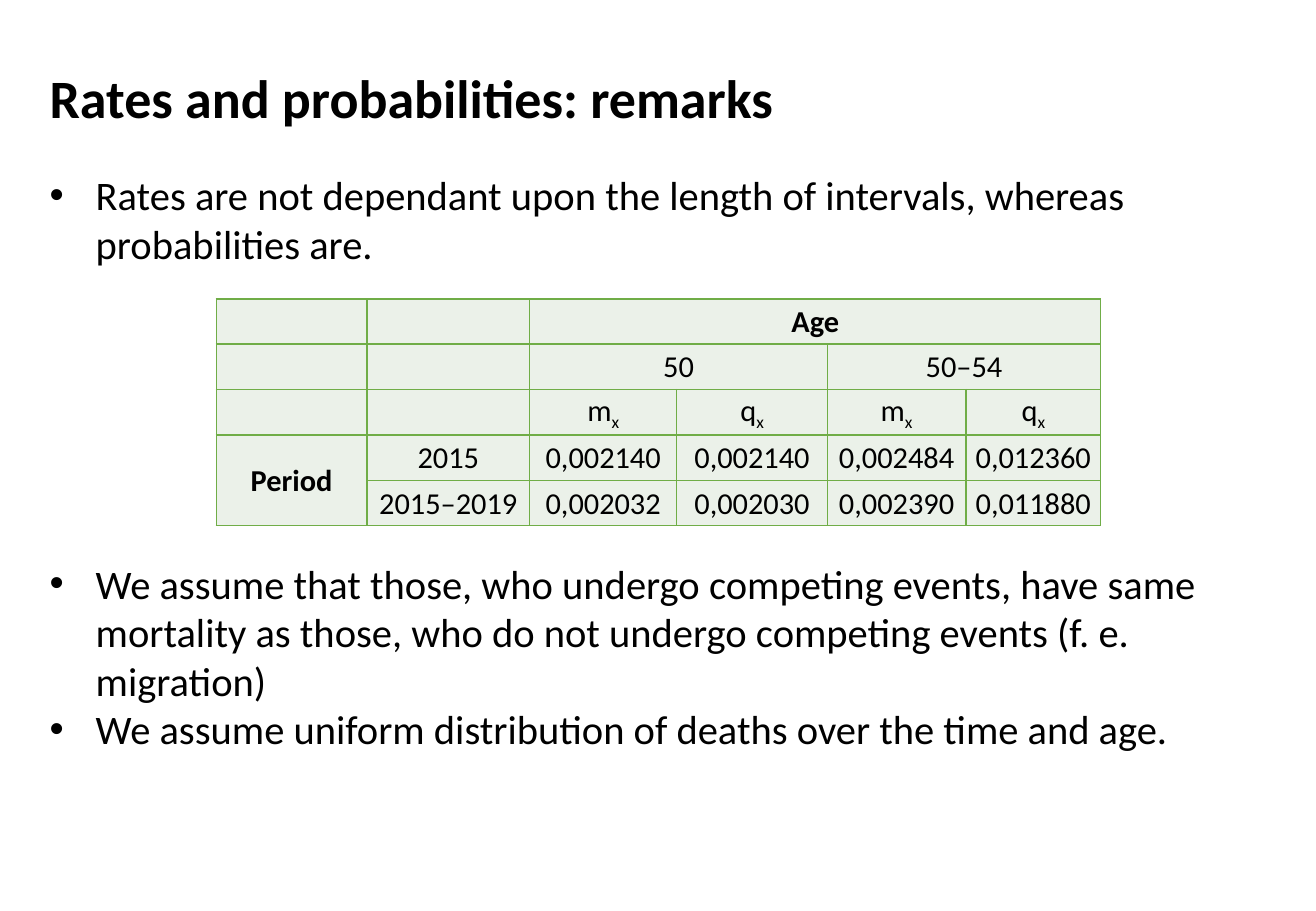
"""Build the slide on rates and probabilities."""
import pptx
import pptx.util
import pptx.dml.color
import pptx.enum.text
import pptx.oxml
import pptx.oxml.ns

Inches, Pt = pptx.util.Inches, pptx.util.Pt
RGB = pptx.dml.color.RGBColor.from_string
TEXT = pptx.enum.text

FONT = "Calibri"
COLORS = {"text": "000000", "edge": "385723", "border": "70AD47", "cell": "EBF1E9"}
TITLE = "Rates and probabilities: remarks"
POINTS = [
    ("Rates are not dependant upon the length of intervals, whereas probabilities are.", 0),
    ("We assume that those, who undergo competing events, have same mortality "
     "as those, who do not undergo competing events (f. e. migration)", 172.8),
    ("We assume uniform distribution of deaths over the time and age.", 0),
]
ROWS = [
    ["", "", "Age", "", "", ""],
    ["", "", "50", "", "50–54", ""],
    ["", "", "m_x", "q_x", "m_x", "q_x"],
    ["Period", "2015", "0,002140", "0,002140", "0,002484", "0,012360"],
    ["", "2015–2019", "0,002032", "0,002030", "0,002390", "0,011880"],
]
BOLD = ("Age", "Period")
SPANS = [(0, 2, 0, 5), (1, 2, 1, 3), (1, 4, 1, 5), (3, 0, 4, 0)]
WIDTHS = [1.24, 1.34, 1.21, 1.24, 1.14, 1.11]
HEIGHT = 0.374


def make(tag, inner="", attrs=""):
    return pptx.oxml.parse_xml(
        f"<a:{tag} {pptx.oxml.ns.nsdecls('a')} {attrs}>{inner}</a:{tag}>")


def stroke(tag, color, width):
    fill = f'<a:solidFill><a:srgbClr val="{COLORS[color]}"/></a:solidFill>'
    return make(tag, fill, f'w="{Pt(width)}"')


def add_run(para, text, size, bold=False):
    run = para.add_run()
    run.text = text
    run.font.name, run.font.size, run.font.bold = FONT, Pt(size), bold
    run.font.color.rgb = RGB(COLORS["text"])
    return run


def add_box(slide, left, top, width, height, wrap):
    box = slide.shapes.add_textbox(*map(Inches, (left, top, width, height)))
    frame = box.text_frame
    frame.word_wrap = wrap
    frame.auto_size = TEXT.MSO_AUTO_SIZE.SHAPE_TO_FIT_TEXT
    return frame


def add_points(frame):
    for i, (text, gap) in enumerate(POINTS):
        para = frame.add_paragraph() if i else frame.paragraphs[0]
        props = para._p.get_or_add_pPr()
        props.set("marL", str(Inches(0.38)))
        props.set("indent", str(-Inches(0.38)))
        props.append(make("buFont", attrs='typeface="Arial"'))
        props.append(make("buChar", attrs='char="•"'))
        if gap:
            para.space_before = Pt(gap)
        add_run(para, text, 24)


def fill_cell(cell, text):
    cell.margin_left = cell.margin_right = cell.margin_top = Inches(0.01)
    cell.margin_bottom = 0
    cell.vertical_anchor = TEXT.MSO_ANCHOR.MIDDLE
    props = cell._tc.get_or_add_tcPr()
    for side in "LRTB":
        props.append(stroke("ln" + side, "border", 1))
    cell.fill.solid()
    cell.fill.fore_color.rgb = RGB(COLORS["cell"])
    if text:
        para = cell.text_frame.paragraphs[0]
        para.alignment = TEXT.PP_ALIGN.CENTER
        base, _, sub = text.partition("_")
        add_run(para, base, 18, text in BOLD)
        if sub:
            run = add_run(para, sub, 18)
            run._r.get_or_add_rPr().set("baseline", "-25000")


def add_grid(slide):
    size = (1.78, 2.46, sum(WIDTHS), HEIGHT * len(ROWS))
    table = slide.shapes.add_table(len(ROWS), len(WIDTHS), *map(Inches, size)).table
    table.first_row = table.horz_banding = False
    for col, width in zip(table.columns, WIDTHS):
        col.width = Inches(width)
    for r, texts in enumerate(ROWS):
        table.rows[r].height = Inches(HEIGHT)
        for c, text in enumerate(texts):
            fill_cell(table.cell(r, c), text)
    for top, left, end, right in SPANS:
        table.cell(top, left).merge(table.cell(end, right))


def main():
    deck = pptx.Presentation()
    deck.slide_width, deck.slide_height = Inches(10.83), Inches(7.5)
    slide = deck.slides.add_slide(deck.slide_layouts[6])
    title = add_box(slide, 0.31, 0.48, 6.21, 0.64, False)
    run = add_run(title.paragraphs[0], TITLE, 32, True)
    run._r.get_or_add_rPr().insert(0, stroke("ln", "edge", 0.75))
    add_points(add_box(slide, 0.31, 1.35, 10.1, 5.35, True))
    add_grid(slide)
    deck.save("out.pptx")


if __name__ == "__main__":
    main()
